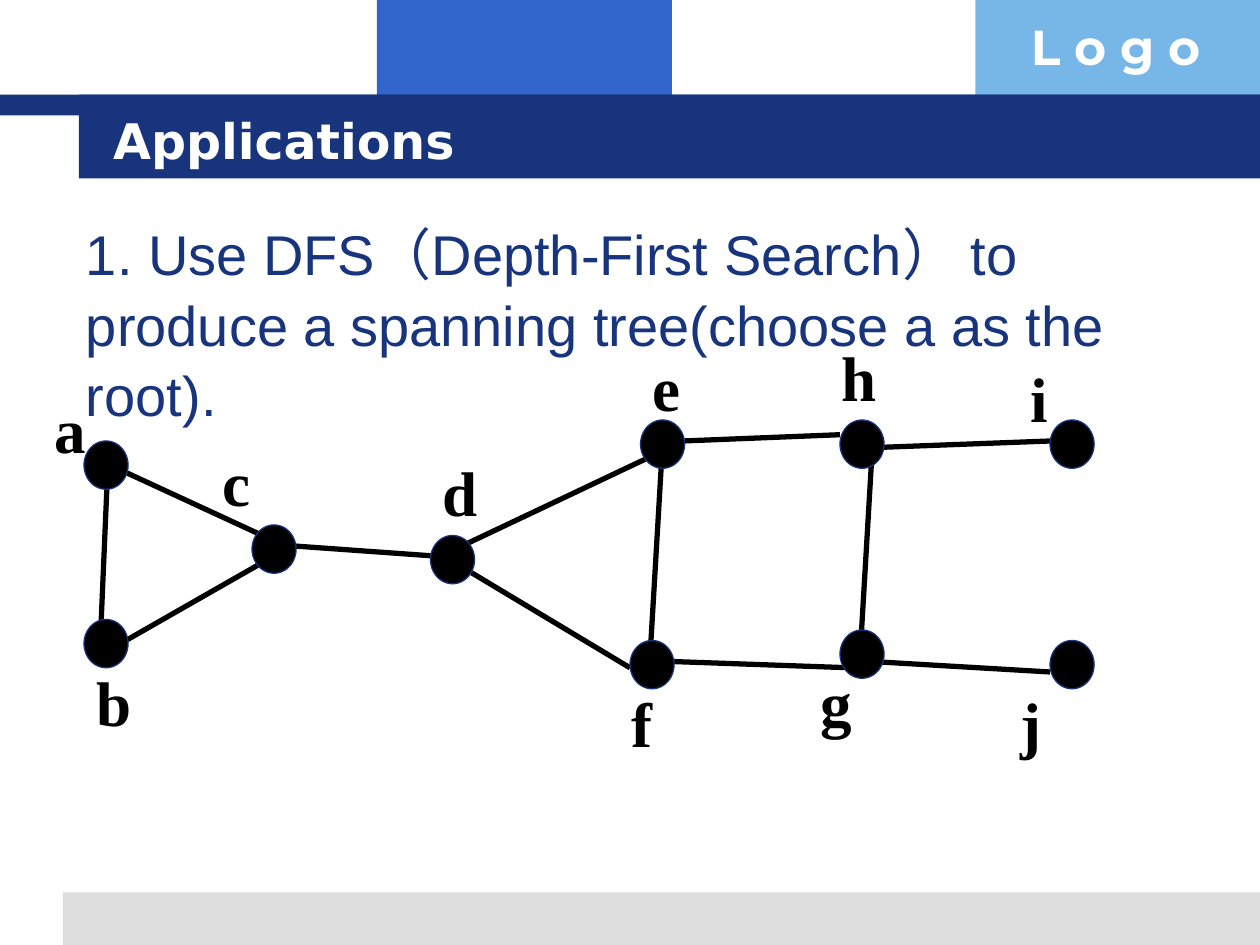
import pptx
import pptx.util
import pptx.dml.color
import pptx.enum.shapes
import pptx.enum.text
import pptx.oxml.ns
import lxml.etree

COLORS = {
    "navy": "17347D", "blue": "3366CC", "sky": "77B7E7",
    "grey": "DDDDDD", "white": "FFFFFF", "black": "000000",
}
COLUMNS, ROWS = 120, 90
CELL = pptx.util.Inches(10) // COLUMNS  # square grid cell
SHAPE = pptx.enum.shapes.MSO_SHAPE
ANCHOR = pptx.enum.text.MSO_ANCHOR

# Per vertex: column and row in the graph, then label offset from the vertex
VERTICES = {
    "a": (4, 11, -4, -6), "b": (4, 28, 0, 3),
    "c": (20, 19, -4, -9), "d": (37, 20, 0, -9),
    "e": (57, 9, 0, -8), "f": (56, 30, -1, 3),
    "h": (76, 9, -1, -9), "g": (76, 29, -3, 2),
    "i": (96, 9, -3, -7), "j": (96, 30, -4, 3),
}
# Edge ends: from column and row, to column and row in the graph
EDGES = {
    "ac": (8, 14, 21, 20), "ab": (6.2, 15, 5.6, 29),
    "cb": (22, 22, 8, 30), "dc": (38, 22, 24, 21),
    "ed": (59, 12, 40, 21), "fd": (56, 32.6, 40, 23),
    "he": (76, 10.4, 61, 11), "ef": (59, 13, 58, 30),
    "gf": (77, 32.6, 60, 32), "ih": (96, 11, 80, 11.6),
    "hg": (79, 13, 78, 30), "jg": (96, 33, 79, 32),
}


def rgb(name):
    return pptx.dml.color.RGBColor.from_string(COLORS[name])


def cells(*counts):
    return [round(count * CELL) for count in counts]


def add_filled(shapes, kind, box, fill, outline=None):
    part = shapes.add_shape(kind, *cells(*box))
    part.shadow.inherit = False
    part.fill.solid()
    part.fill.fore_color.rgb = rgb(fill)
    if outline:
        part.line.color.rgb = rgb(outline)
        part.line.width = pptx.util.Pt(0.75)
    else:
        part.line.fill.background()


def add_text(shapes, box, text, size, font, color, bold=True, anchor=ANCHOR.TOP):
    frame = shapes.add_textbox(*cells(*box)).text_frame
    frame.word_wrap = True
    frame.vertical_anchor = anchor
    paragraph = frame.paragraphs[0]
    paragraph.text = text
    paragraph.font.size = pptx.util.Pt(size)
    paragraph.font.name = font
    paragraph.font.bold = bold
    paragraph.font.color.rgb = rgb(color)
    return frame


def add_edge(shapes, ends):
    edge = shapes.add_connector(
        pptx.enum.shapes.MSO_CONNECTOR.STRAIGHT, *cells(*ends))
    edge.line.color.rgb = rgb("black")
    edge.line.width = pptx.util.Pt(3)
    lxml.etree.SubElement(
        edge._element.spPr, pptx.oxml.ns.qn("a:effectLst"))


def build_header(slide, box):
    left, top, width, height = box
    shapes = slide.shapes
    right = left + width
    # Colour blocks along the top
    add_filled(shapes, SHAPE.RECTANGLE, (left + 35.9, top, 28.1, 11), "blue")
    add_filled(shapes, SHAPE.RECTANGLE, (right - 27.1, top, 27.1, 11), "sky")
    # Stepped title band
    add_filled(shapes, SHAPE.RECTANGLE, (left, top + 9, width, 2), "navy")
    add_filled(shapes, SHAPE.RECTANGLE,
               (left + 7.5, top + 9, width - 7.5, height - 9), "navy")
    add_text(shapes, (right - 23, top + 1, 23, 6.8),
             "L o g o", 28, "Montserrat", "white")
    add_text(shapes, (left + 9.6, top + 9.6, 102.4, height - 9.6),
             "Applications", 28, "DejaVu Sans", "white", anchor=ANCHOR.MIDDLE)


def build_task(slide, box):
    task = add_text(
        slide.shapes, box,
        "1. Use DFS（Depth-First Search） to produce a spanning tree"
        "(choose a as the root).",
        32, "Arial", "navy", bold=False)
    task.paragraphs[0].line_spacing = 1.05


def build_graph(slide, box):
    left, top = box[:2]
    shapes = slide.shapes.add_group_shape().shapes
    for x1, y1, x2, y2 in EDGES.values():
        add_edge(shapes, (left + x1, top + y1, left + x2, top + y2))
    for letter, (column, row, label_dx, label_dy) in VERTICES.items():
        x, y = left + column, top + row
        add_filled(shapes, SHAPE.OVAL, (x, y, 4.2, 4.6), "black", "navy")
        label = add_text(shapes, (x + label_dx, y + label_dy, 7.4, 10),
                         letter, 36, "Times New Roman", "black")
        label.margin_top = pptx.util.Inches(0.1)


def build_footer(slide, box):
    add_filled(slide.shapes, SHAPE.RECTANGLE, box, "grey")


def main():
    deck = pptx.Presentation()
    deck.slide_width, deck.slide_height = cells(COLUMNS, ROWS)
    slide = deck.slides.add_slide(deck.slide_layouts[6])
    build_footer(slide, (6, ROWS - 5, COLUMNS - 6, 5))
    build_header(slide, (0, 0, COLUMNS, 17))
    build_task(slide, (7, 20, 105, 20.6))
    build_graph(slide, (4, 31, 101, 43))
    deck.save("out.pptx")


if __name__ == "__main__":
    main()
